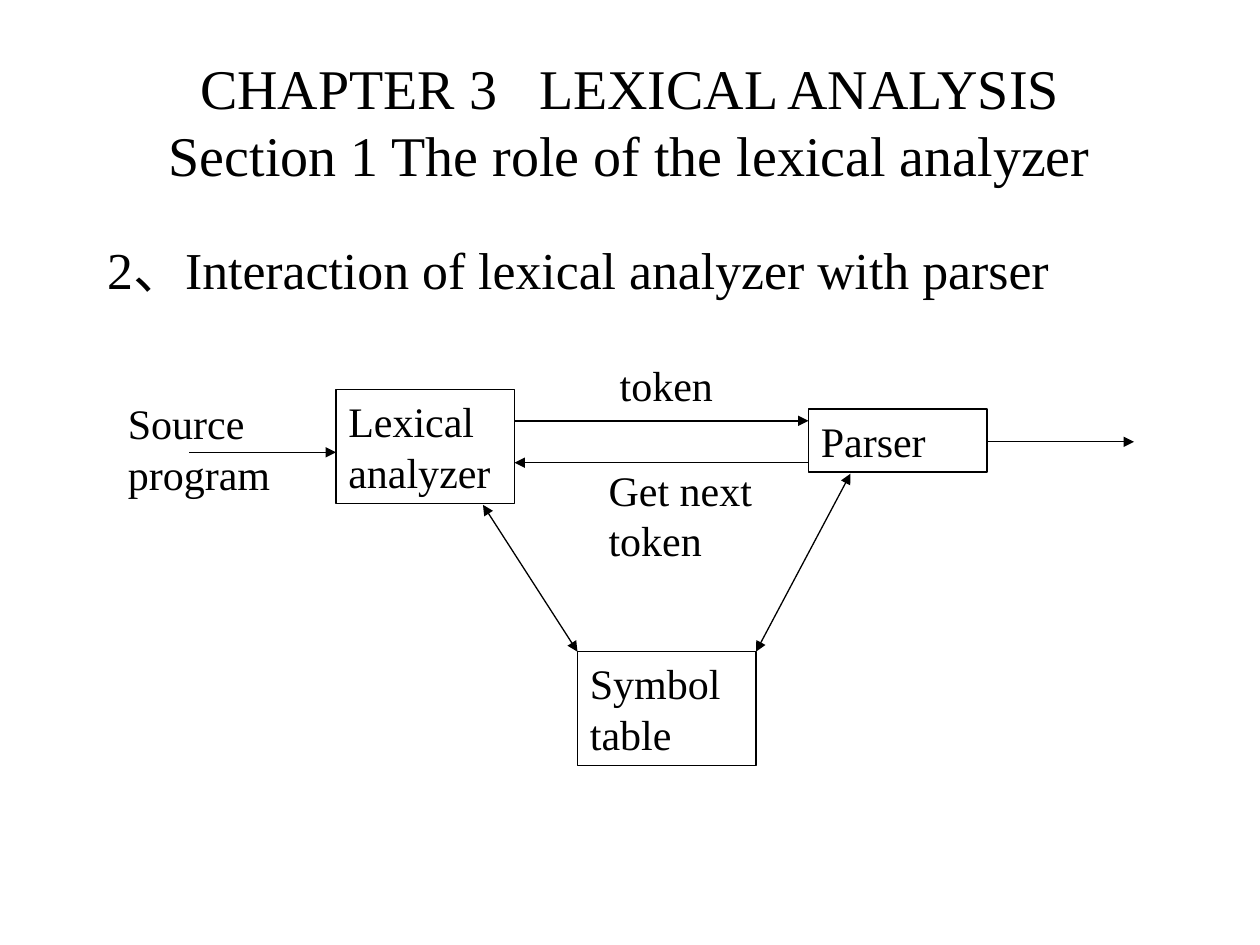
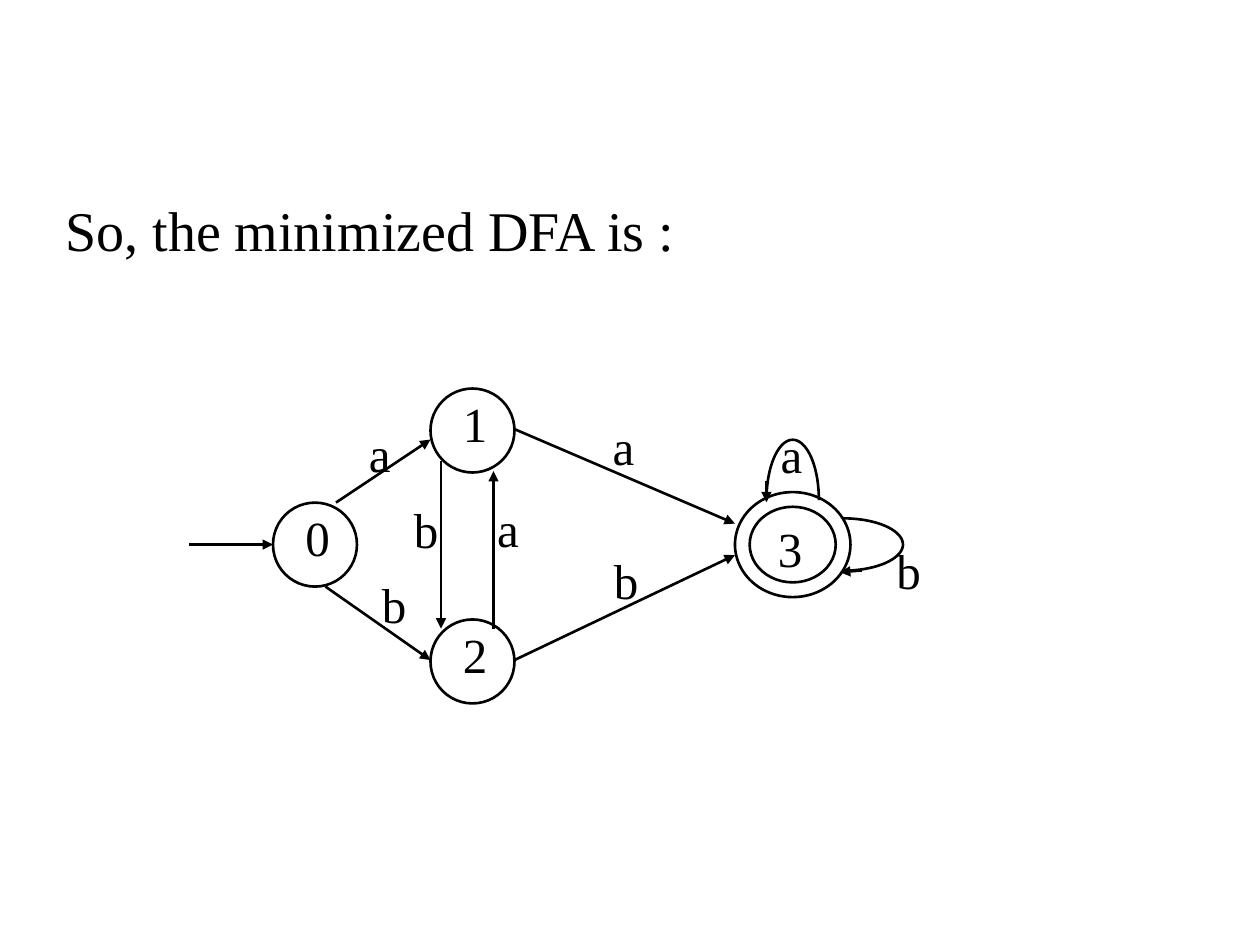
from math import cos, radians, sin

from lxml import etree
from pptx import Presentation
from pptx.dml.color import RGBColor
from pptx.enum.shapes import MSO_CONNECTOR, MSO_SHAPE
from pptx.enum.text import MSO_ANCHOR, PP_ALIGN
from pptx.oxml.ns import qn
from pptx.util import Pt

STRAIGHT = MSO_CONNECTOR.STRAIGHT
RECTANGLE, OVAL, DONUT = MSO_SHAPE.RECTANGLE, MSO_SHAPE.OVAL, MSO_SHAPE.DONUT
TOP, MIDDLE = MSO_ANCHOR.TOP, MSO_ANCHOR.MIDDLE
LEFT, CENTER = PP_ALIGN.LEFT, PP_ALIGN.CENTER
COLORS = {"ink": "000000", "paper": "FFFFFF"}
FONT = "Times New Roman"
INK = RGBColor.from_string(COLORS["ink"])


def points(values):
    return [Pt(value) for value in values]


def shift(box, x, y):
    return box[0] + x, box[1] + y


def write(frame, words, size, align=LEFT, anchor=TOP, before=0, wrap=True):
    frame.word_wrap = wrap
    frame.vertical_anchor = anchor
    frame.text = words
    paragraph = frame.paragraphs[0]
    paragraph.alignment = align
    paragraph.space_before = Pt(before)
    paragraph.font.size = Pt(size)
    paragraph.font.name = FONT
    paragraph.font.color.rgb = INK
    return paragraph


def add_words(slide, box, words, size, **layout):
    frame = slide.shapes.add_textbox(*points(box)).text_frame
    return write(frame, words, size, **layout)


def add_body(slide, box, words, size):
    paragraph = add_words(slide, box, words, size, before=8)
    properties = paragraph._p.get_or_add_pPr()
    properties.set("marL", str(Pt(27)))
    properties.set("indent", str(-Pt(27)))


def outline(shape, weight):
    shape.shadow.inherit = False
    shape.fill.background()
    shape.line.color.rgb = INK
    shape.line.width = Pt(weight)


def add_outlined(slide, kind, box, weight):
    shape = slide.shapes.add_shape(kind, *points(box))
    outline(shape, weight)
    return shape


def add_arrow(slide, start, end, weight, both_ways=False):
    arrow = slide.shapes.add_connector(STRAIGHT, *points(start + end))
    arrow.line.color.rgb = INK
    arrow.line.width = Pt(weight)
    line = arrow.line._get_or_add_ln()
    for tag in ["a:headEnd", "a:tailEnd"] if both_ways else ["a:tailEnd"]:
        etree.SubElement(line, qn(tag)).set("type", "triangle")
    etree.SubElement(arrow._element.spPr, qn("a:effectLst"))


def add_half_ellipse(slide, center, radii, first_angle, weight):
    angles = [radians(first_angle + step) for step in range(0, 181, 5)]
    curve = [points((center[0] + radii[0] * cos(angle),
                     center[1] + radii[1] * sin(angle))) for angle in angles]
    builder = slide.shapes.build_freeform(*curve[0])
    builder.add_line_segments(curve[1:], close=False)
    outline(builder.convert_to_shape(), weight)


def add_parser_diagram(slide, box):
    weight, size, width = 0.75, 24, 102
    modules = [
        ("Lexical analyzer", 126, 21.2, 65),
        ("Parser", 396, 32.3, 36),
        ("Symbol table", 264, 170.9, 65),
    ]
    for name, x, y, height in modules:
        module = add_outlined(slide, RECTANGLE, shift(box, x, y) + (width, height), weight)
        write(module.text_frame, name, size, before=15)

    flows = [
        ((228, 39), (396, 39), False),
        ((396, 62.9), (228, 62.9), False),
        ((42, 57), (126, 57), False),
        ((498, 51), (582, 51), False),
        ((210, 87), (264, 170.9), True),
        ((420, 69.2), (366, 170.9), True),
    ]
    for start, end, both_ways in flows:
        add_arrow(slide, shift(box, *start), shift(box, *end), weight, both_ways)

    captions = [
        ("Source program", 0, 22.3, 108, 65, True),
        ("token", 281, 0.3, 68, 36, False),
        ("Get next token", 274.7, 60.3, 103, 65, True),
    ]
    for words, x, y, caption_width, height, wrap in captions:
        caption_box = shift(box, x, y) + (caption_width, height)
        add_words(slide, caption_box, words, size, wrap=wrap)


def add_automaton(slide, box):
    weight = 1.5
    states = [
        (OVAL, 48, 89.2, 48, 48),
        (OVAL, 138, 24, 48, 48),
        (OVAL, 138, 156, 48, 48),
        (DONUT, 312, 89.2, 66, 60),
    ]
    for kind, x, middle, width, height in states:
        state_box = shift(box, x, middle - height / 2) + (width, height)
        state = add_outlined(slide, kind, state_box, weight)
        if kind == DONUT:
            state.adjustments[0] = 0.14

    loops = [
        ((345, 63.8), (15, 34.5), 180),
        ((373.5, 89.2), (34.5, 15), -90),
    ]
    for center, radii, first_angle in loops:
        add_half_ellipse(slide, shift(box, *center), radii, first_angle, weight)

    transitions = [
        ((0, 89.2), (48, 89.2)),
        ((84, 65.2), (138, 29.2)),
        ((78, 113.2), (138, 155.2)),
        ((144, 41.2), (144, 137.2)),
        ((174, 137.2), (174, 47.2)),
        ((186, 23.2), (312, 77.2)),
        ((186, 155.2), (312, 95.2)),
        ((330, 53), (330, 65)),
        ((384.5, 104), (372, 105)),
    ]
    for start, end in transitions:
        add_arrow(slide, shift(box, *start), shift(box, *end), weight)

    symbols = [
        ("0", 52.5, 64.5), ("1", 142.5, -0.8), ("2", 142.5, 131.5), ("3", 322.5, 70.5),
        ("a", 88.7, 16.5), ("a", 162, 59.5), ("a", 228, 12.7), ("a", 324, 17.3),
        ("b", 96.2, 102.7), ("b", 114.5, 60.2), ("b", 228.7, 89), ("b", 390.2, 83.2),
    ]
    for symbol, x, y in symbols:
        width = 34 if symbol == "a" else 35.5
        add_words(slide, shift(box, x, y) + (width, 41), f" {symbol}", 28, wrap=False)


def add_slide(deck):
    slide = deck.slides.add_slide(deck.slide_layouts[6])
    slide.background.fill.solid()
    slide.background.fill.fore_color.rgb = RGBColor.from_string(COLORS["paper"])
    return slide


def main():
    deck = Presentation()
    deck.slide_width, deck.slide_height = Pt(720), Pt(540)

    interaction = add_slide(deck)
    heading = "CHAPTER 3   LEXICAL ANALYSIS\vSection 1 The role of the lexical analyzer"
    add_words(interaction, (54, 12, 612, 114), heading, 32, align=CENTER, anchor=MIDDLE)
    add_body(interaction, (54.2, 132.3, 612, 66),
             "2、Interaction of lexical analyzer with parser", 29.6)
    add_parser_diagram(interaction, (66, 201.5, 582, 234))

    minimized = add_slide(deck)
    add_body(minimized, (30.3, 108, 648, 48), "So, the minimized DFA is :", 32)
    add_automaton(minimized, (108, 222, 426, 180))

    deck.save("out.pptx")


if __name__ == "__main__":
    main()
